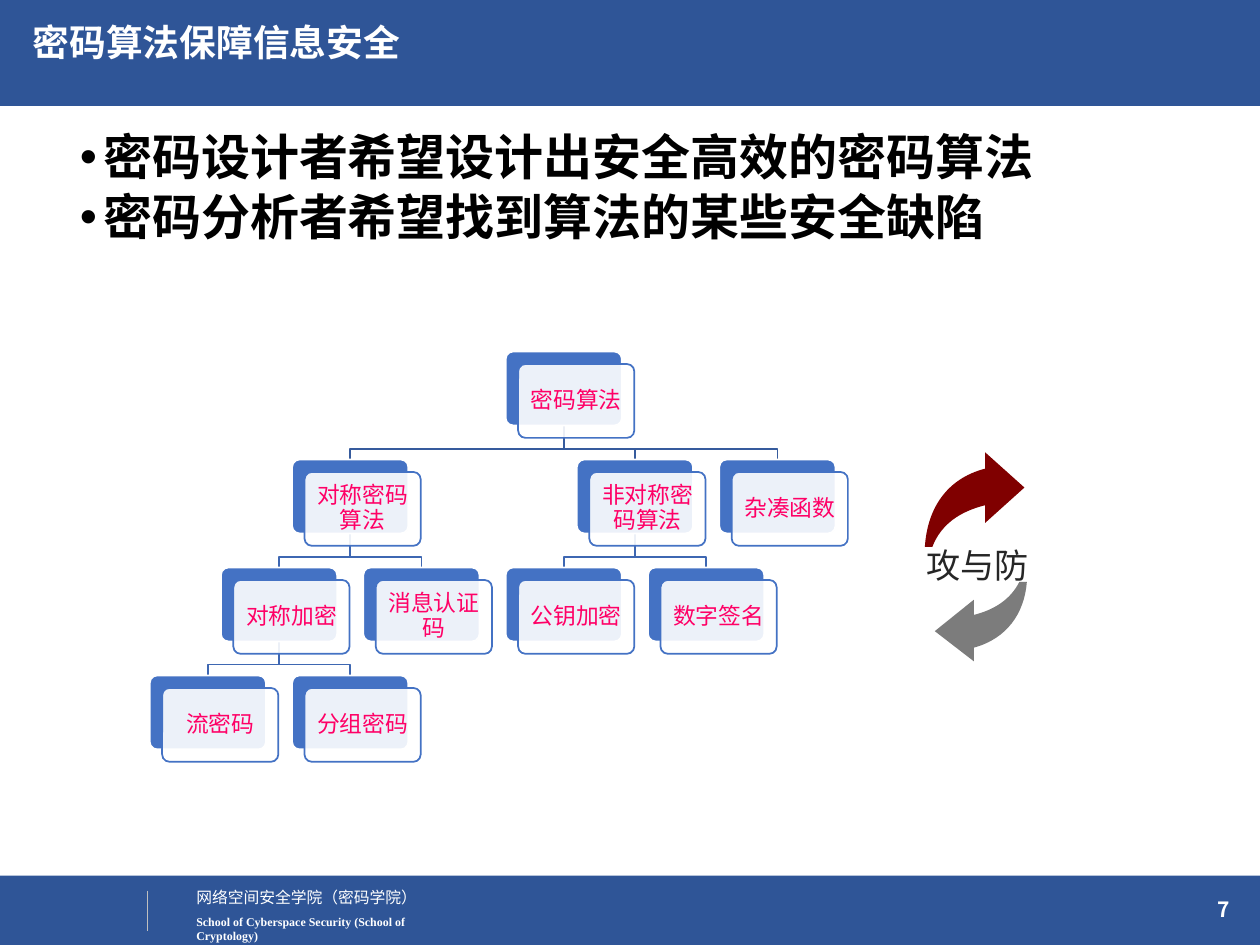
from lxml import etree
from pptx import Presentation
from pptx import util as u
from pptx.dml.color import RGBColor
from pptx.enum import shapes as sh, text as tx
from pptx.oxml.ns import qn

HUE = {"band": "2F5597", "card": "4472C4", "root": "365B9D", "branch": "3E67B2",
       "rule": "BFBFBF", "white": "FFFFFF", "black": "000000", "label": "FF0066",
       "grey": "262626", "attack": "800000", "defend": "7C7C7C"}
SANS, SERIF = "Noto Sans CJK SC", "Times New Roman"

BANDS = [(0, 500.4, 720, 39.6), (0, 0, 720, 60.5), (0, -0.4, 274.3, 60.8)]
TITLE = "密码算法保障信息安全"
POINTS = ["密码设计者希望设计出安全高效的密码算法", "密码分析者希望找到算法的某些安全缺陷"]
SCHOOL = [("网络空间安全学院（密码学院）", (105.1, 504, 141.8, 18), 9, SANS, False),
          ("School of Cyberspace Security (School of Cryptology)",
           (105.1, 519.1, 170.6, 15.1), 6.8, SERIF, True)]

# name: (half columns from the left, level, parent)
TREE = {"密码算法": (5, 0, None), "对称密码算法": (2, 1, "密码算法"),
        "对称加密": (1, 2, "对称密码算法"), "流密码": (0, 3, "对称加密"),
        "分组密码": (2, 3, "对称加密"), "消息认证码": (3, 2, "对称密码算法"),
        "非对称密码算法": (6, 1, "密码算法"), "公钥加密": (5, 2, "非对称密码算法"),
        "数字签名": (7, 2, "非对称密码算法"), "杂凑函数": (8, 1, "密码算法")}
LEFT, TOP, HALF, DROP = 85.6, 200.9, 40.68, 61.7
WIDE, HIGH, SHIFT, BEND = 66.4, 42.2, 7.1, 13.3

ARROWS = [
    ("attack", [[(585.4, 278.6)], [(563, 298.8)], [(563, 288.7)],
                [(548.6, 292.3), (537.8, 299.5), (532.8, 312.5)], [(528.5, 312.5)],
                [(529.9, 290.9), (540.7, 273.6), (563, 267.8)], [(563, 258.5)]]),
    ("defend", [[(556.6, 351.4)], [(556.6, 342.7)], [(534.2, 360.7)], [(556.6, 378)],
                [(556.6, 370.1)], [(575.3, 365), (585.4, 350.6), (586.8, 332.6)],
                [(582.5, 332.6)], [(577.4, 342.7), (568.1, 348.5), (556.6, 351.4)]]),
]

deck = Presentation()
deck.slide_width, deck.slide_height = u.Pt(720), u.Pt(540)
page = deck.slides.add_slide(deck.slide_layouts[6])
art = page.shapes


def rgb(hue):
    return RGBColor.from_string(HUE[hue])


def pts(nums):
    return [u.Pt(n) for n in nums]


def paint(item, fill=None, line=None):
    item.shadow.inherit = False
    if fill:
        item.fill.solid()
        item.fill.fore_color.rgb = rgb(fill)
    else:
        item.fill.background()
    if line:
        item.line.color.rgb = rgb(line)
        item.line.width = u.Pt(1)
    else:
        item.line.fill.background()


def write(par, words, size, hue, face=SANS, bold=False):
    run = par.add_run()
    run.text = words
    font = run.font
    font.size, font.bold, font.name = u.Pt(size), bold, face
    font.color.rgb = rgb(hue)
    east = etree.SubElement(run._r.get_or_add_rPr(), qn("a:ea"))
    east.set("typeface", face)


def box(at, wrap=True):
    frame = art.add_textbox(*pts(at)).text_frame
    frame.word_wrap = wrap
    if not wrap:
        frame.auto_size = tx.MSO_AUTO_SIZE.SHAPE_TO_FIT_TEXT
    return frame


def inset(frame, gap):
    frame.margin_left = frame.margin_right = u.Pt(gap)
    frame.margin_top = frame.margin_bottom = u.Pt(gap)


def trace(dots, close):
    dots = [tuple(pts(dot)) for dot in dots]
    pen = art.build_freeform(*dots[0])
    pen.add_line_segments(dots[1:], close=close)
    return pen.convert_to_shape()


def arrow(hue, parts):
    item = trace([dot for part in parts for dot in part], True)
    paint(item, hue)
    lines = iter(list(item._element.iter(qn("a:lnTo"))))
    for part in parts[1:]:
        group = [next(lines) for _ in part]
        if len(group) == 3:
            curve = etree.Element(qn("a:cubicBezTo"))
            group[0].addprevious(curve)
            for old in group:
                curve.append(old[0])
                old.getparent().remove(old)


def spot(name):
    col, row, _ = TREE[name]
    return LEFT + col * HALF, TOP + row * DROP


def branch(name, boss):
    x, y = spot(name)
    px, py = spot(boss)
    mid, pmid, foot = x + WIDE / 2, px + WIDE / 2, py + HIGH
    item = trace([(pmid, foot), (pmid, foot + BEND), (mid, foot + BEND), (mid, y)], False)
    paint(item, line="branch" if TREE[boss][1] else "root")


def card(name):
    x, y = spot(name)
    for gap, fill, line in ((0, "card", "white"), (SHIFT, "white", "card")):
        item = art.add_shape(sh.MSO_SHAPE.ROUNDED_RECTANGLE,
                             *pts((x + gap, y + gap, WIDE, HIGH)))
        item.adjustments[0] = 0.1
        paint(item, fill, line)
    tint = item._element.spPr.find(qn("a:solidFill"))[0]
    etree.SubElement(tint, qn("a:alpha")).set("val", "90000")
    frame = item.text_frame
    frame.word_wrap = True
    frame.vertical_anchor = tx.MSO_ANCHOR.MIDDLE
    inset(frame, 3.6)
    par = frame.paragraphs[0]
    par.alignment, par.line_spacing = tx.PP_ALIGN.CENTER, 0.9
    write(par, name, 13, "label")


for at in BANDS:
    paint(art.add_shape(sh.MSO_SHAPE.RECTANGLE, *pts(at)), "band")
for words, at, size, face, bold in SCHOOL:
    write(box(at, False).paragraphs[0], words, size, "white", face, bold)
rule = art.add_connector(sh.MSO_CONNECTOR.STRAIGHT, *pts((84.2, 509, 84.2, 532.1)))
rule.line.color.rgb, rule.line.width = rgb("rule"), u.Pt(0.5)
etree.SubElement(rule._element.spPr, qn("a:effectLst"))

frame = box((547.9, 505.4, 162, 28.8))
frame.vertical_anchor = tx.MSO_ANCHOR.MIDDLE
frame.paragraphs[0].alignment = tx.PP_ALIGN.RIGHT
write(frame.paragraphs[0], "7", 12, "white", bold=True)

frame = box((11.5, 72.7, 696.2, 83.5))
for i, words in enumerate(POINTS):
    par = frame.add_paragraph() if i else frame.paragraphs[0]
    par.line_spacing, par.space_before = 0.9, u.Pt(3.8)
    props = par._p.get_or_add_pPr()
    props.set("marL", str(u.Pt(40.5)))
    props.set("indent", str(u.Pt(-13.5)))
    etree.SubElement(props, qn("a:buFont")).set("typeface", "Arial")
    etree.SubElement(props, qn("a:buChar")).set("char", "•")
    write(par, words, 28, "black", bold=True)

par = box((11.5, 7.9, 455, 43.9)).paragraphs[0]
par.space_before = u.Pt(7.5)
write(par, TITLE, 21, "white", bold=True)

for hue, parts in ARROWS:
    arrow(hue, parts)
frame = box((529.2, 311, 59, 23.8), False)
inset(frame, 0)
write(frame.paragraphs[0], "攻与防", 19.5, "grey")

for name, (_, _, boss) in TREE.items():
    if boss:
        branch(name, boss)
for name in TREE:
    card(name)

deck.save("out.pptx")
